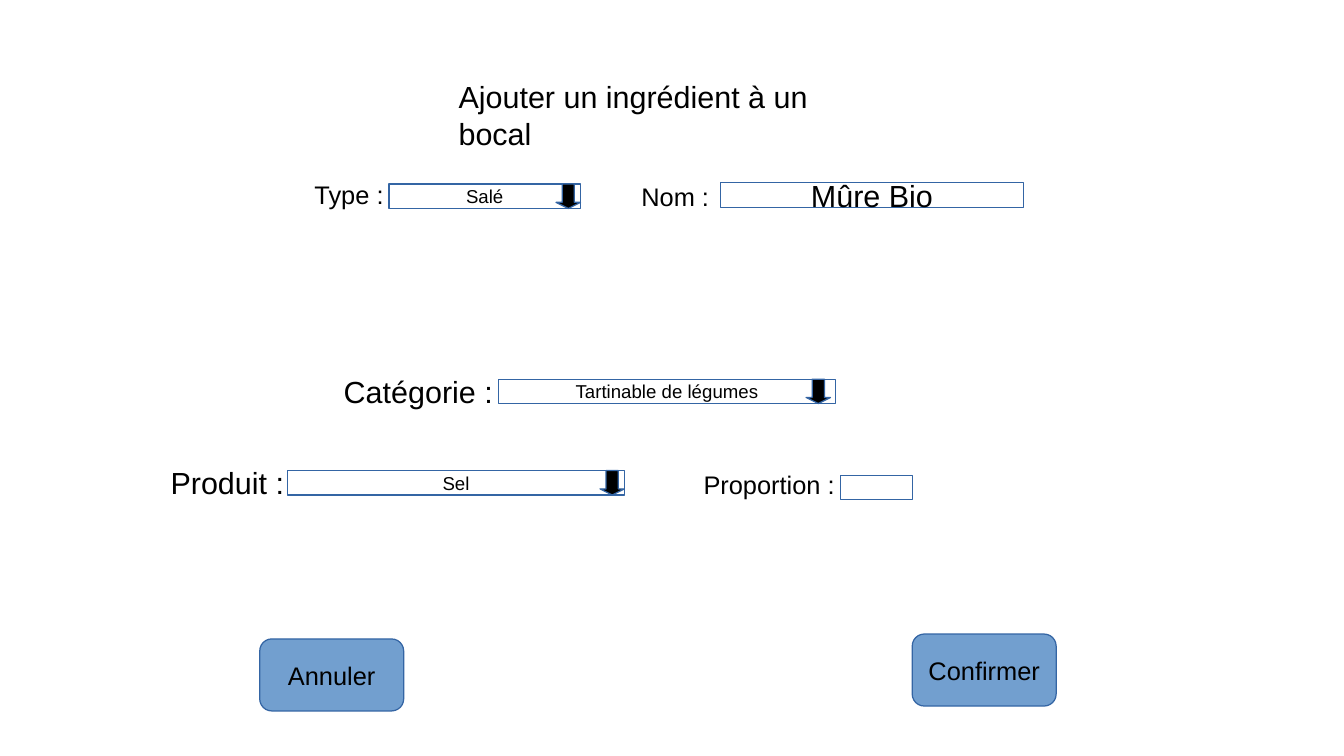
from dataclasses import dataclass

from pptx import Presentation
from pptx.dml.color import RGBColor
from pptx.enum.shapes import MSO_SHAPE as Preset
from pptx.enum.text import MSO_ANCHOR as Anchor, MSO_AUTO_SIZE as AutoSize, PP_ALIGN as Align
from pptx.util import Inches, Pt


@dataclass(frozen=True)
class Theme:
    font: str = "Arial"
    ink: str = "000000"
    field: str = "FFFFFF"
    button: str = "729FCF"
    border: str = "3465A4"
    large: int = 18
    medium: int = 15
    small: int = 11


THEME = Theme()
FIELD_HEIGHT = 0.2
ARROW_SIZE = 0.2
BUTTON_SIZE = (1.18, 0.59)

TITLE = ("Ajouter un ingrédient à un bocal", (3.66, 0.59, 3.73, 0.38))
LABELS = [
    ("Type :", (2.48, 1.42, 1.19, 0.33), THEME.medium),
    ("Nom :", (5.16, 1.44, 0.81, 0.33), THEME.medium),
    ("Catégorie :", (2.72, 3.01, 1.42, 0.38), THEME.large),
    ("Produit :", (1.3, 3.76, 1.42, 0.38), THEME.large),
    ("Proportion :", (5.67, 3.8, 1.28, 0.33), THEME.medium),
]
ENTRIES = [
    ("Mûre Bio", 5.91, 1.5, 2.48),
    ("", 6.89, 3.9, 0.59),
]
DROPDOWNS = [
    ("Salé", 3.19, 1.51, 1.57, 0),
    ("Tartinable de légumes", 4.09, 3.11, 2.76, 0.04),
    ("Sel", 2.36, 3.86, 2.76, 0),
]
BUTTONS = [
    ("Annuler", 2.13, 5.24),
    ("Confirmer", 7.48, 5.2),
]


def write(frame, text, size, align):
    paragraph = frame.paragraphs[0]
    paragraph.alignment = align
    run = paragraph.add_run()
    run.text = text
    run.font.name = THEME.font
    run.font.size = Pt(size)
    run.font.color.rgb = RGBColor.from_string(THEME.ink)


def write_line(frame, text, size):
    frame.word_wrap = False
    frame.auto_size = AutoSize.SHAPE_TO_FIT_TEXT
    frame.vertical_anchor = Anchor.TOP
    write(frame, text, size, Align.LEFT)


def add_control(slide, preset, box, fill, text="", size=THEME.small):
    control = slide.shapes.add_shape(preset, *map(Inches, box))
    control.shadow.inherit = False
    control.fill.solid()
    control.fill.fore_color.rgb = RGBColor.from_string(fill)
    control.line.color.rgb = RGBColor.from_string(THEME.border)
    control.line.width = Pt(0)
    if text:
        control.text_frame.vertical_anchor = Anchor.MIDDLE
        write(control.text_frame, text, size, Align.CENTER)


def main():
    deck = Presentation()
    deck.slide_width, deck.slide_height = Inches(11.02), Inches(6.2)
    slide = deck.slides.add_slide(deck.slide_layouts.get_by_name("Title Only"))

    text, box = TITLE
    title = slide.shapes.title
    title.left, title.top, title.width, title.height = map(Inches, box)
    write_line(title.text_frame, text, THEME.large)

    for text, box, size in LABELS:
        label = slide.shapes.add_textbox(*map(Inches, box))
        write_line(label.text_frame, text, size)

    for text, left, top, width in ENTRIES:
        box = (left, top, width, FIELD_HEIGHT)
        add_control(slide, Preset.RECTANGLE, box, THEME.field, text, THEME.large)

    for text, left, top, width, inset in DROPDOWNS:
        box = (left, top, width, FIELD_HEIGHT)
        add_control(slide, Preset.RECTANGLE, box, THEME.field, text)
        arrow_left = left + width - ARROW_SIZE - inset
        arrow_box = (arrow_left, top, ARROW_SIZE, ARROW_SIZE)
        add_control(slide, Preset.DOWN_ARROW, arrow_box, THEME.ink)
        slide.shapes[-1].adjustments[1] = 0.25

    for text, left, top in BUTTONS:
        box = (left, top, *BUTTON_SIZE)
        add_control(slide, Preset.ROUNDED_RECTANGLE, box, THEME.button, text, THEME.medium)

    deck.save("out.pptx")


if __name__ == "__main__":
    main()
